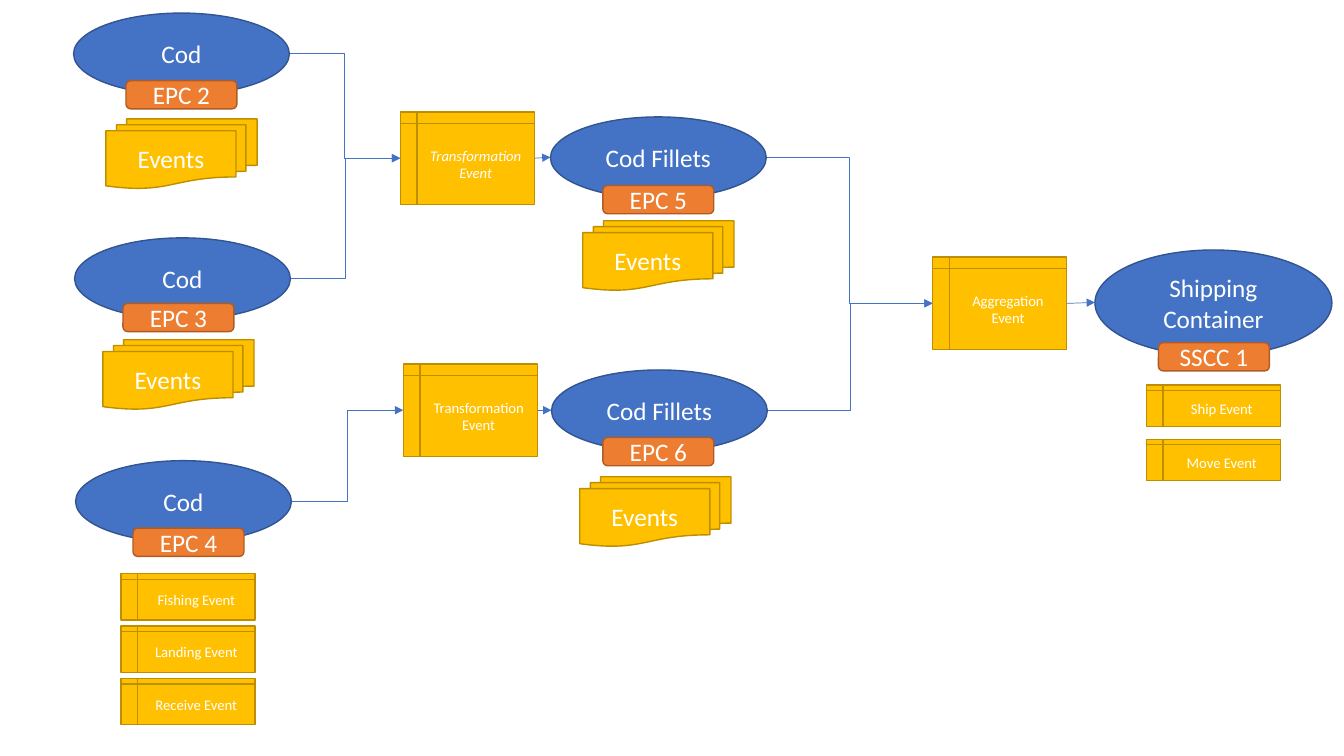
"""Draw the cod supply chain as products, their codes and the events linking them."""
from dataclasses import dataclass
from typing import NamedTuple

import pptx
import pptx.dml.color
import pptx.enum.shapes
import pptx.enum.text
import pptx.oxml
import pptx.oxml.ns
import pptx.util

SHAPE = pptx.enum.shapes.MSO_SHAPE
CONNECTOR = pptx.enum.shapes.MSO_CONNECTOR
EMU_PER_PX = 9144


@dataclass(frozen=True)
class Theme:
    font: str = "Calibri"
    text: str = "FFFFFF"
    product: str = "4472C4"
    product_edge: str = "325491"
    code: str = "ED7D31"
    code_edge: str = "AF5C24"
    event: str = "FFC000"
    event_edge: str = "BD8E00"
    link: str = "4472C4"
    large: float = 18
    small: float = 10.5
    edge_width: float = 1
    link_width: float = 0.5


THEME = Theme()


class Kind(NamedTuple):
    shape: SHAPE
    w: int
    h: int
    fill: str
    edge: str
    size: float


class Box(NamedTuple):
    kind: Kind
    text: str
    x: int
    y: int
    italic: bool = False


class Link(NamedTuple):
    source: Box
    target: Box
    route: CONNECTOR = CONNECTOR.ELBOW


PRODUCT = Kind(SHAPE.OVAL, 214, 81, THEME.product, THEME.product_edge, THEME.large)
CONTAINER = PRODUCT._replace(w=235, h=105)
CODE = Kind(SHAPE.ROUNDED_RECTANGLE, 110, 28, THEME.code, THEME.code_edge, THEME.large)
EVENTS = Kind(SHAPE.FLOWCHART_MULTIDOCUMENT, 150, 69, THEME.event, THEME.event_edge, THEME.large)
STEP = Kind(SHAPE.FLOWCHART_INTERNAL_STORAGE, 133, 92, THEME.event, THEME.event_edge, THEME.small)
CATCH_EVENT = STEP._replace(h=46)
SHIPPING_EVENT = STEP._replace(h=41)

COD_2 = Box(PRODUCT, "Cod", 73, 13)
COD_3 = Box(PRODUCT, "Cod", 74, 236)
COD_4 = Box(PRODUCT, "Cod", 75, 457)
FILLETS_5 = Box(PRODUCT, "Cod Fillets", 546, 116)
FILLETS_6 = Box(PRODUCT, "Cod Fillets", 547, 367)
SHIPMENT = Box(CONTAINER, "Shipping Container", 1086, 248)
TRANSFORM_5 = Box(STEP, "Transformation Event", 397, 111, italic=True)
TRANSFORM_6 = Box(STEP, "Transformation Event", 400, 361)
AGGREGATION = Box(STEP, "Aggregation\vEvent", 925, 255)

BOXES = [
    COD_2, COD_3, COD_4, FILLETS_5, FILLETS_6, SHIPMENT,
    TRANSFORM_5, TRANSFORM_6, AGGREGATION,
    Box(CODE, "EPC 2", 125, 80),
    Box(CODE, "EPC 3", 122, 301),
    Box(CODE, "EPC 4", 132, 524),
    Box(CODE, "EPC 5", 598, 184),
    Box(CODE, "EPC 6", 598, 434),
    Box(CODE, "SSCC 1", 1149, 340),
    *(Box(EVENTS, "Events", x, y)
      for x, y in [(105, 118), (102, 337), (578, 219), (575, 473)]),
    *(Box(CATCH_EVENT, f"{name} Event", 120, 569 + 52 * i)
      for i, name in enumerate(["Fishing", "Landing", "Receive"])),
    *(Box(SHIPPING_EVENT, f"{name} Event", 1137, 382 + 54 * i)
      for i, name in enumerate(["Ship", "Move"])),
]

LINKS = [
    Link(COD_2, TRANSFORM_5),
    Link(COD_3, TRANSFORM_5),
    Link(COD_4, TRANSFORM_6),
    Link(FILLETS_5, AGGREGATION),
    Link(FILLETS_6, AGGREGATION),
    Link(TRANSFORM_5, FILLETS_5, CONNECTOR.STRAIGHT),
    Link(TRANSFORM_6, FILLETS_6, CONNECTOR.STRAIGHT),
    Link(AGGREGATION, SHIPMENT, CONNECTOR.STRAIGHT),
]


def px(n: int) -> pptx.util.Emu:
    """Turn px into EMU."""
    return pptx.util.Emu(n * EMU_PER_PX)


def rgb(value: str) -> pptx.dml.color.RGBColor:
    """Turn a hex string into a colour."""
    return pptx.dml.color.RGBColor.from_string(value)


def draw_box(shapes, box: Box) -> None:
    """Draw one labelled shape."""
    kind = box.kind
    sp = shapes.add_shape(kind.shape, px(box.x), px(box.y), px(kind.w), px(kind.h))
    sp.shadow.inherit = False
    sp.fill.solid()
    sp.fill.fore_color.rgb = rgb(kind.fill)
    sp.line.color.rgb = rgb(kind.edge)
    sp.line.width = pptx.util.Pt(THEME.edge_width)
    tf = sp.text_frame
    tf.vertical_anchor = pptx.enum.text.MSO_ANCHOR.MIDDLE
    p = tf.paragraphs[0]
    p.text = box.text
    p.alignment = pptx.enum.text.PP_ALIGN.CENTER
    formats = {"name": THEME.font, "size": pptx.util.Pt(kind.size), "italic": box.italic}
    for r in p.runs:
        for name, value in formats.items():
            setattr(r.font, name, value)
        r.font.color.rgb = rgb(THEME.text)


def draw_link(shapes, link: Link) -> None:
    """Draw an arrow from the right of one box to the left of the next."""
    a, b = link.source, link.target
    cxn = shapes.add_connector(
        link.route,
        px(a.x + a.kind.w), px(a.y + a.kind.h // 2),
        px(b.x), px(b.y + b.kind.h // 2),
    )
    cxn.line.color.rgb = rgb(THEME.link)
    cxn.line.width = pptx.util.Pt(THEME.link_width)
    ln = cxn.line._get_or_add_ln()
    ln.append(pptx.oxml.parse_xml(
        f'<a:tailEnd {pptx.oxml.ns.nsdecls("a")} type="triangle"/>'))
    cxn._element.spPr.append(pptx.oxml.parse_xml(
        f'<a:effectLst {pptx.oxml.ns.nsdecls("a")}/>'))


def main() -> None:
    """Build and save the slide."""
    prs = pptx.Presentation()
    prs.slide_width, prs.slide_height = px(1333), px(750)
    s = prs.slides.add_slide(prs.slide_layouts[6])
    for link in LINKS:
        draw_link(s.shapes, link)
    for box in BOXES:
        draw_box(s.shapes, box)
    prs.save("out.pptx")


if __name__ == "__main__":
    main()
